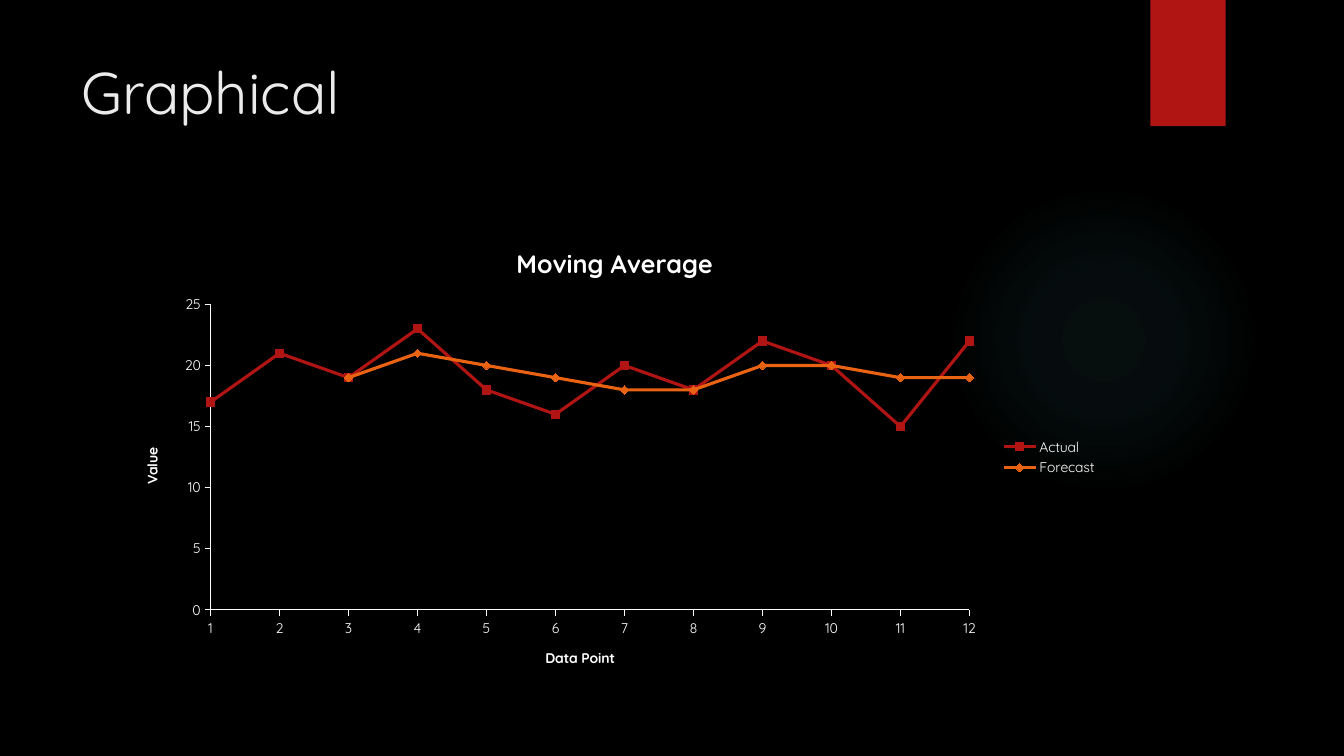
"""Builds a dark slide with a line chart of actual values against a moving average."""
from dataclasses import dataclass
from typing import Optional

from lxml import etree
from pptx import Presentation
from pptx.chart.data import CategoryChartData
from pptx.dml.color import RGBColor
from pptx.enum.chart import XL_CHART_TYPE, XL_LEGEND_POSITION, XL_MARKER_STYLE, XL_TICK_MARK
from pptx.enum.shapes import MSO_SHAPE
from pptx.oxml import parse_xml
from pptx.oxml.ns import nsdecls, qn
from pptx.util import Cm, Pt

LINE_CHART = XL_CHART_TYPE.LINE_MARKERS
LEGEND_RIGHT = XL_LEGEND_POSITION.RIGHT
SQUARE, DIAMOND = XL_MARKER_STYLE.SQUARE, XL_MARKER_STYLE.DIAMOND
TICK_OUTSIDE, TICK_NONE = XL_TICK_MARK.OUTSIDE, XL_TICK_MARK.NONE
OVAL, RECTANGLE = MSO_SHAPE.OVAL, MSO_SHAPE.RECTANGLE

FONT = "Quicksand"
COLOURS = {
    "background": "000000",
    "glow": "50B9C1",
    "red": "B01513",
    "orange": "EA6312",
    "heading": "EBEBEB",
    "white": "FFFFFF",
}
GLOW_STOPS = ((0, 7), (36, 6), (69, 0))
PLOT_AREA = {"x": 0.09, "y": 0.17, "w": 0.77, "h": 0.66}


@dataclass(frozen=True)
class Series:
    name: str
    values: tuple[Optional[int], ...]
    colour: str
    marker: XL_MARKER_STYLE


SERIES = (
    Series("Actual", (17, 21, 19, 23, 18, 16, 20, 18, 22, 20, 15, 22), "red", SQUARE),
    Series("Forecast", (None, None, 19, 21, 20, 19, 18, 18, 20, 20, 19, 19), "orange", DIAMOND),
)


def rgb(name: str) -> RGBColor:
    return RGBColor.from_string(COLOURS[name])


def set_font(font, size: float, colour: str, bold: bool = False) -> None:
    font.name = FONT
    font.size = Pt(size)
    font.bold = bold
    font.color.rgb = rgb(colour)


def add_plain_shape(slide, kind: MSO_SHAPE, left: float, top: float,
                    width: float, height: float, colour: str):
    shape = slide.shapes.add_shape(kind, Cm(left), Cm(top), Cm(width), Cm(height))
    shape.shadow.inherit = False
    shape.fill.solid()
    shape.fill.fore_color.rgb = rgb(colour)
    shape.line.fill.background()
    return shape


def add_glow(slide) -> None:
    glow = add_plain_shape(slide, OVAL, 23.9, 4.65, 7.82, 7.82, "glow")
    stops = "".join(
        f'<a:gs pos="{position * 1000}"><a:srgbClr val="{COLOURS["glow"]}">'
        f'<a:alpha val="{alpha * 1000}"/></a:srgbClr></a:gs>'
        for position, alpha in GLOW_STOPS
    )
    gradient = parse_xml(
        f'<a:gradFill {nsdecls("a")}><a:gsLst>{stops}</a:gsLst><a:path path="circle">'
        '<a:fillToRect l="50000" t="50000" r="50000" b="50000"/></a:path></a:gradFill>'
    )
    properties = glow.element.spPr
    properties.replace(properties.find(qn("a:solidFill")), gradient)


def add_heading(slide) -> None:
    heading = slide.shapes.add_textbox(Cm(1.8), Cm(1.27), Cm(26.14), Cm(2.1))
    heading.text_frame.word_wrap = True
    paragraph = heading.text_frame.paragraphs[0]
    paragraph.text = "Graphical"
    set_font(paragraph.font, 42, "heading")


def set_title(titled, text: str, size: float) -> None:
    paragraph = titled.text_frame.paragraphs[0]
    paragraph.text = text
    set_font(paragraph.font, size, "white", bold=True)


def style_axis(axis, title: str) -> None:
    axis.has_major_gridlines = False
    axis.major_tick_mark = TICK_OUTSIDE
    axis.minor_tick_mark = TICK_NONE
    axis.format.line.color.rgb = rgb("white")
    axis.format.line.width = Pt(0.75)
    set_font(axis.tick_labels.font, 10, "white")
    set_title(axis.axis_title, title, 10)


def place_plot_area(chart) -> None:
    plot_area = chart.element.find(".//" + qn("c:plotArea"))
    for old_layout in plot_area.findall(qn("c:layout")):
        plot_area.remove(old_layout)
    layout = etree.Element(qn("c:layout"))
    manual = etree.SubElement(layout, qn("c:manualLayout"))
    settings = {"layoutTarget": "inner", "xMode": "edge", "yMode": "edge", **PLOT_AREA}
    for tag, value in settings.items():
        etree.SubElement(manual, qn(f"c:{tag}"), val=str(value))
    plot_area.insert(0, layout)


def start_lines_on_axis(chart) -> None:
    crosses = chart.value_axis.format.line and chart.element.find(
        f".//{qn('c:valAx')}/{qn('c:crosses')}"
    )
    crosses.addnext(etree.Element(qn("c:crossBetween"), val="midCat"))


def add_average_chart(slide) -> None:
    data = CategoryChartData()
    data.categories = [str(point) for point in range(1, 13)]
    for series in SERIES:
        data.add_series(series.name, series.values)
    chart = slide.shapes.add_chart(
        LINE_CHART, Cm(3.07), Cm(5.69), Cm(24.84), Cm(11.66), data
    ).chart
    set_font(chart.font, 10, "white")
    set_title(chart.chart_title, "Moving Average", 18)
    chart.has_legend = True
    chart.legend.position = LEGEND_RIGHT
    chart.legend.include_in_layout = False
    set_font(chart.legend.font, 10, "white")
    style_axis(chart.category_axis, "Data Point")
    style_axis(chart.value_axis, "Value")
    chart.value_axis.minimum_scale = 0
    chart.value_axis.maximum_scale = 25
    chart.value_axis.major_unit = 5
    chart.plots[0].vary_by_categories = False
    for drawn, series in zip(chart.plots[0].series, SERIES):
        drawn.smooth = False
        drawn.format.line.color.rgb = rgb(series.colour)
        drawn.format.line.width = Pt(2.25)
        drawn.marker.style = series.marker
        drawn.marker.size = 6
        drawn.marker.format.fill.solid()
        drawn.marker.format.fill.fore_color.rgb = rgb(series.colour)
        drawn.marker.format.line.color.rgb = rgb(series.colour)
    place_plot_area(chart)
    start_lines_on_axis(chart)


def main() -> None:
    deck = Presentation()
    deck.slide_width, deck.slide_height = Cm(33.87), Cm(19.05)
    slide = deck.slides.add_slide(deck.slide_layouts[6])
    slide.background.fill.solid()
    slide.background.fill.fore_color.rgb = rgb("background")
    add_glow(slide)
    add_plain_shape(slide, RECTANGLE, 28.99, 0, 1.9, 3.18, "red")
    add_heading(slide)
    add_average_chart(slide)
    deck.save("out.pptx")


if __name__ == "__main__":
    main()
